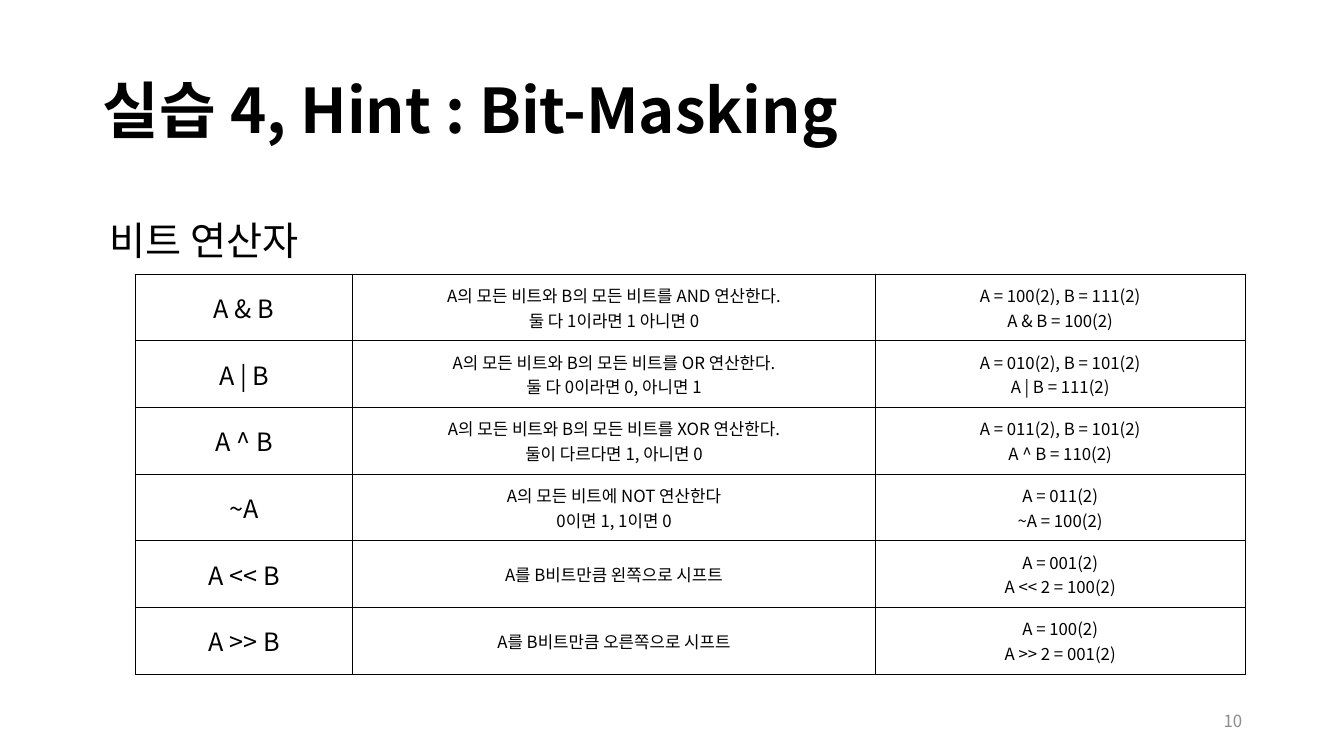
from copy import deepcopy
from dataclasses import dataclass, field

from lxml import etree
from pptx import Presentation
from pptx import util as u
from pptx.enum import text
from pptx.dml.color import RGBColor
from pptx.oxml import ns

FONT = "Noto Sans CJK KR"
COLORS = {"ink": "000000", "muted": "8C8C8C", "paper": "FFFFFF"}
ALIGN, ANCHOR = text.PP_ALIGN, text.MSO_ANCHOR


@dataclass
class Label:
    content: str
    box: tuple[float, float, float, float]
    size: int
    color: str = "ink"
    bold: bool = False
    anchor: ANCHOR = ANCHOR.MIDDLE
    para: dict = field(default_factory=dict)


@dataclass
class Operator:
    symbol: str
    meaning: str
    example: str


LABELS = [
    Label("실습 4, Hint : Bit-Masking", (0.92, 0.4, 11.5, 1.45), 44, bold=True,
          para={"line_spacing": 0.9}),
    Label("비트 연산자", (0.99, 2, 11.77, 3.87), 28, anchor=ANCHOR.TOP,
          para={"line_spacing": 1.2, "space_before": u.Pt(10)}),
    Label("10", (9.42, 6.95, 3, 0.4), 12, "muted", para={"alignment": ALIGN.RIGHT}),
]

# \n starts a paragraph, \v breaks a line inside one
OPERATORS = [
    Operator("A & B", "A의 모든 비트와 B의 모든 비트를 AND 연산한다.\v둘 다 1이라면 1 아니면 0",
             "A = 100(2), B = 111(2)\nA & B = 100(2)"),
    Operator("A | B", "A의 모든 비트와 B의 모든 비트를 OR 연산한다.\v둘 다 0이라면 0, 아니면 1",
             "A = 010(2), B = 101(2)\nA | B = 111(2)"),
    Operator("A ^ B", "A의 모든 비트와 B의 모든 비트를 XOR 연산한다.\v둘이 다르다면 1, 아니면 0",
             "A = 011(2), B = 101(2)\nA ^ B = 110(2)"),
    Operator("~A", "A의 모든 비트에 NOT 연산한다\n0이면 1, 1이면 0",
             "A = 011(2)\n~A = 100(2)"),
    Operator("A << B", "A를 B비트만큼 왼쪽으로 시프트", "A = 001(2)\nA << 2 = 100(2)"),
    Operator("A >> B", "A를 B비트만큼 오른쪽으로 시프트", "A = 100(2)\nA >> 2 = 001(2)"),
]
COL_WIDTHS = (2.16, 5.18, 3.67)
COL_SIZES = (18, 12, 12)
TABLE_BOX = (1.34, 2.72, sum(COL_WIDTHS), 3.97)


def rgb(name: str) -> RGBColor:
    return RGBColor.from_string(COLORS[name])


def write(tf, content: str, size: int, color: str = "ink", bold: bool = False,
          para: dict | None = None) -> None:
    tf.text = content
    for p in tf.paragraphs:
        for name, value in (para or {}).items():
            setattr(p, name, value)
        for r in p.runs:
            for name, value in {"name": FONT, "size": u.Pt(size), "bold": bold}.items():
                setattr(r.font, name, value)
            r.font.color.rgb = rgb(color)
            r_pr = r._r.get_or_add_rPr()
            etree.SubElement(r_pr, ns.qn("a:ea"), typeface=FONT)
        for br in p._p.findall(ns.qn("a:br")):
            br.append(deepcopy(r_pr))


def add_label(slide, label: Label) -> None:
    tf = slide.shapes.add_textbox(*map(u.Inches, label.box)).text_frame
    tf.word_wrap = True
    tf.vertical_anchor = label.anchor
    write(tf, label.content, label.size, label.color, label.bold, label.para)


def add_borders(cell) -> None:
    tc_pr = cell._tc.get_or_add_tcPr()
    for i, side in enumerate(("lnL", "lnR", "lnT", "lnB")):
        ln = etree.Element(ns.qn(f"a:{side}"), w=str(u.Pt(1)))
        fill = etree.SubElement(ln, ns.qn("a:solidFill"))
        etree.SubElement(fill, ns.qn("a:srgbClr"), val=COLORS["ink"])
        tc_pr.insert(i, ln)


def add_operator_table(slide) -> None:
    table = slide.shapes.add_table(len(OPERATORS), len(COL_WIDTHS),
                                   *map(u.Inches, TABLE_BOX)).table
    table.first_row = table.horz_banding = False
    for col, width in zip(table.columns, COL_WIDTHS):
        col.width = u.Inches(width)
    for row, op in enumerate(OPERATORS):
        contents = (op.symbol, op.meaning, op.example)
        for col, (content, size) in enumerate(zip(contents, COL_SIZES)):
            cell = table.cell(row, col)
            cell.vertical_anchor = ANCHOR.MIDDLE
            cell.fill.solid()
            cell.fill.fore_color.rgb = rgb("paper")
            add_borders(cell)
            write(cell.text_frame, content, size, para={"alignment": ALIGN.CENTER})


def main() -> None:
    prs = Presentation()
    prs.slide_width, prs.slide_height = u.Inches(13.33), u.Inches(7.5)
    slide = prs.slides.add_slide(prs.slide_layouts[6])
    for label in LABELS:
        add_label(slide, label)
    add_operator_table(slide)
    prs.save("out.pptx")


if __name__ == "__main__":
    main()
